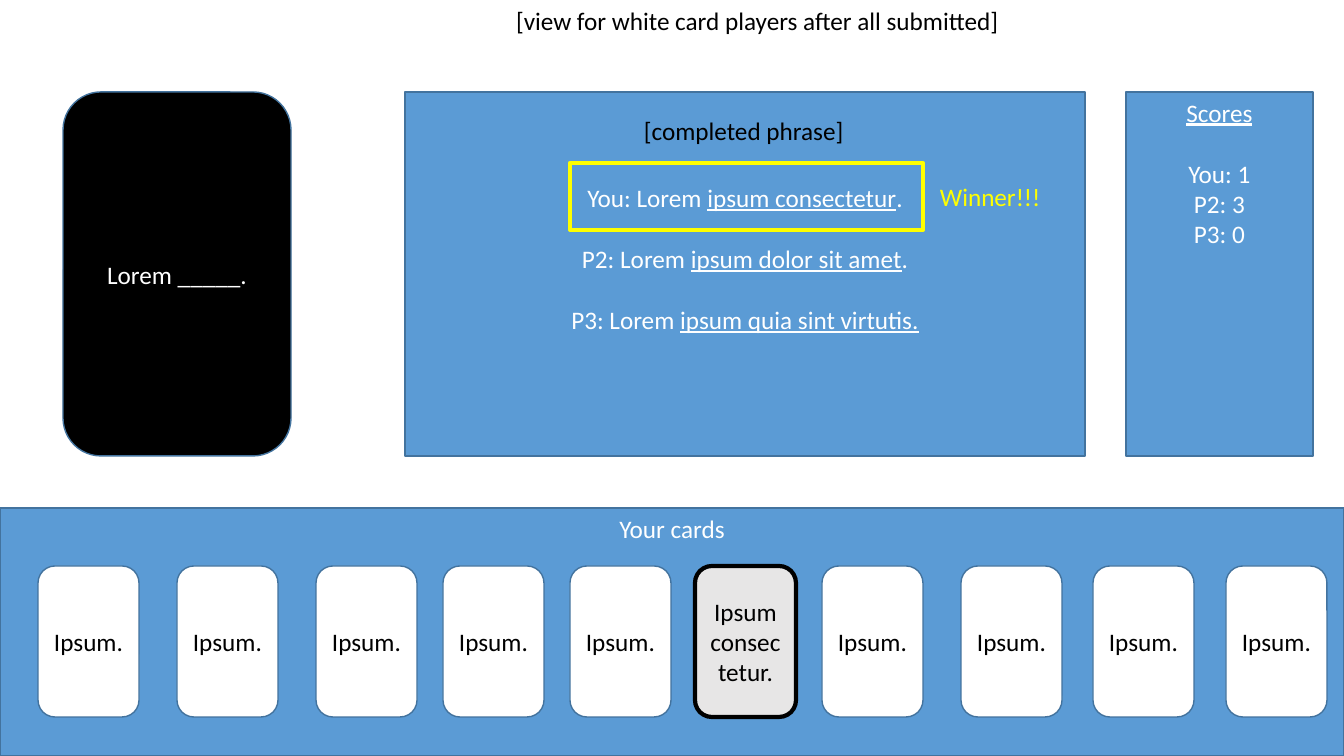
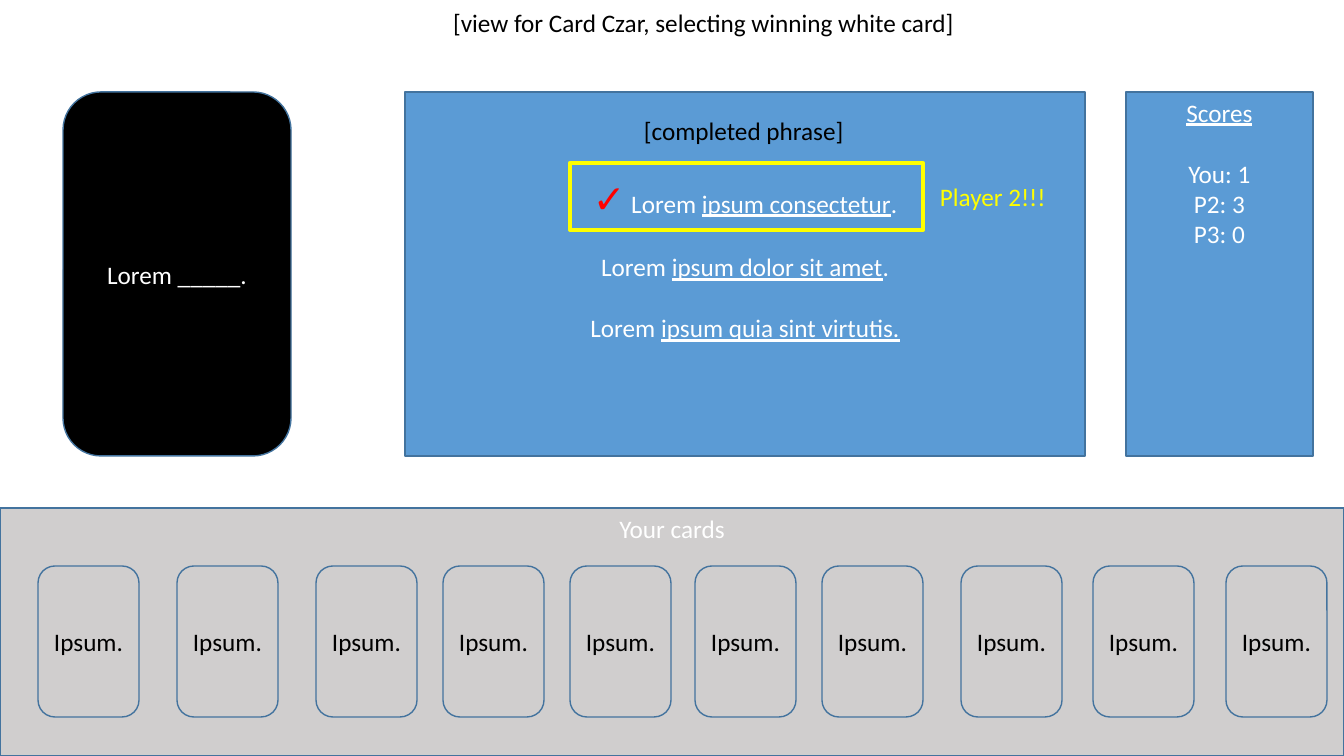
from pptx import Presentation
from pptx import util as u
from pptx.dml.color import RGBColor
from pptx.enum import shapes, text

# Shared style
SCALE = 914400 / 100.8
BLUE, BORDER, GREY, PALE = "5B9BD5", "43739E", "D0CECE", "E7E6E6"
WHITE, BLACK, YELLOW, RED = "FFFFFF", "000000", "FFFF00", "FF0000"
RECTANGLE = shapes.MSO_SHAPE.RECTANGLE
ROUNDED = shapes.MSO_SHAPE.ROUNDED_RECTANGLE
TOP, MIDDLE = text.MSO_ANCHOR.TOP, text.MSO_ANCHOR.MIDDLE
LEFT, CENTER = text.PP_ALIGN.LEFT, text.PP_ALIGN.CENTER
LINE_GAP = 22  # points, one line of body text

# Card row
CARD_LEFTS = [38, 177, 316, 443, 570, 695, 822, 961, 1093, 1226]
CARD_TOP, CARD_WIDTH, CARD_HEIGHT = 566, 101, 151
PLAYED_CARD = 5

# Upper row
ROW_TOP, ROW_HEIGHT = 92, 364


def px(length):
    return u.Emu(round(length * SCALE))


def color(value):
    return RGBColor.from_string(value)


def assign(target, values):
    for name, value in values.items():
        setattr(target, name, value)


class Board:
    """Holds the presentation, its text style and the current slide."""

    def __init__(self):
        self.presentation = Presentation()
        assign(self.presentation, {"slide_width": px(1344), "slide_height": px(756)})
        self.slide = None

    def add_slide(self, title, box):
        layout = self.presentation.slide_layouts.get_by_name("Title Only")
        self.slide = self.presentation.slides.add_slide(layout)
        shape = self.slide.shapes.title
        for name, length in zip(("left", "top", "width", "height"), box):
            setattr(shape, name, px(length))
        self.fill_label(shape, title, BLACK)

    def add_lines(self, frame, lines, ink, align=CENTER, gaps=()):
        """Each line is a string or a list of (text, format) runs."""
        for index, line in enumerate(lines):
            paragraph = frame.paragraphs[0] if index == 0 else frame.add_paragraph()
            paragraph.alignment = align
            if index in gaps:
                paragraph.space_before = u.Pt(LINE_GAP)
            for words, changes in [(line, {})] if isinstance(line, str) else line:
                values = {"name": "Calibri", "size": u.Pt(18), "ink": ink} | changes
                run = paragraph.add_run()
                run.text = words
                run.font.color.rgb = color(values.pop("ink"))
                assign(run.font, values)

    def fill_label(self, shape, words, ink):
        assign(shape.text_frame, {"word_wrap": False, "vertical_anchor": TOP,
                                  "auto_size": text.MSO_AUTO_SIZE.SHAPE_TO_FIT_TEXT})
        self.add_lines(shape.text_frame, [words], ink, LEFT)

    def label(self, words, box, ink):
        self.fill_label(self.slide.shapes.add_textbox(*map(px, box)), words, ink)

    def panel(self, box, fill=None, lines=(), kind=RECTANGLE, ink=WHITE,
              border=BORDER, weight=1, gaps=(), **frame_values):
        shape = self.slide.shapes.add_shape(kind, *map(px, box))
        shape.shadow.inherit = False
        if fill:
            shape.fill.solid()
            shape.fill.fore_color.rgb = color(fill)
        else:
            shape.fill.background()
        shape.line.color.rgb = color(border)
        shape.line.width = u.Pt(weight)
        assign(shape.text_frame, {"word_wrap": True, "vertical_anchor": TOP} | frame_values)
        self.add_lines(shape.text_frame, lines, ink, gaps=gaps)

    def hand(self, band_fill, card_fill, played):
        self.panel((0, 508, 1344, 248), band_fill, ["Your cards"])
        for index, left in enumerate(CARD_LEFTS):
            words, look = "Ipsum.", {"fill": card_fill}
            if played and index == PLAYED_CARD:
                words = "Ipsum consectetur."
                look = {"fill": PALE, "border": BLACK, "weight": 3}
            self.panel((left, CARD_TOP, CARD_WIDTH, CARD_HEIGHT), lines=[words],
                       kind=ROUNDED, ink=BLACK, vertical_anchor=MIDDLE, **look)

    def black_card(self):
        self.panel((63, ROW_TOP, 228, ROW_HEIGHT), BLACK, ["Lorem _____."], ROUNDED,
                   vertical_anchor=MIDDLE)

    def phrases(self, prefixes, winner, winner_width):
        endings = [("ipsum consectetur", "."), ("ipsum dolor sit amet", "."),
                   ("ipsum quia sint virtutis.", "")]
        lines = []
        for prefix, (answer, stop) in zip(prefixes, endings):
            line = [*prefix, ("Lorem ", {}), (answer, {"underline": True})]
            lines.append(line + [(stop, {})] if stop else line)
        # The deeper bottom margin lifts the centred phrases by half a line
        self.panel((405, ROW_TOP, 680, ROW_HEIGHT), BLUE, lines, gaps=(1, 2),
                   vertical_anchor=MIDDLE, margin_bottom=px(36))
        self.label("[completed phrase]", (634, 110, 223, 40), BLACK)
        self.panel((570, 163, 353, 67), border=YELLOW, weight=3)
        self.label(winner, (930, 176, winner_width, 40), YELLOW)

    def scores(self):
        lines = [[("Scores", {"underline": True})], "You: 1", "P2: 3", "P3: 0"]
        self.panel((1126, ROW_TOP, 187, ROW_HEIGHT), BLUE, lines, gaps=(1,))


VIEWS = [
    {"title": "[view for white card players after all submitted]",
     "title_box": (506, 0, 510, 40),
     "hand": (BLUE, WHITE, True),
     "prefixes": [[("You: ", {})], [("P2: ", {})], [("P3: ", {})]],
     "winner": ("Winner!!!", 122)},
    {"title": "[view for Card Czar, selecting winning white card]",
     "title_box": (443, 2, 527, 40),
     "hand": (GREY, GREY, False),
     "prefixes": [[("✓", {"size": u.Pt(28), "ink": RED}), (" ", {})], [], []],
     "winner": ("Player 2!!!", 127)},
]

board = Board()
for view in VIEWS:
    board.add_slide(view["title"], view["title_box"])
    board.hand(*view["hand"])
    board.black_card()
    board.phrases(view["prefixes"], *view["winner"])
    board.scores()

board.presentation.save("out.pptx")
